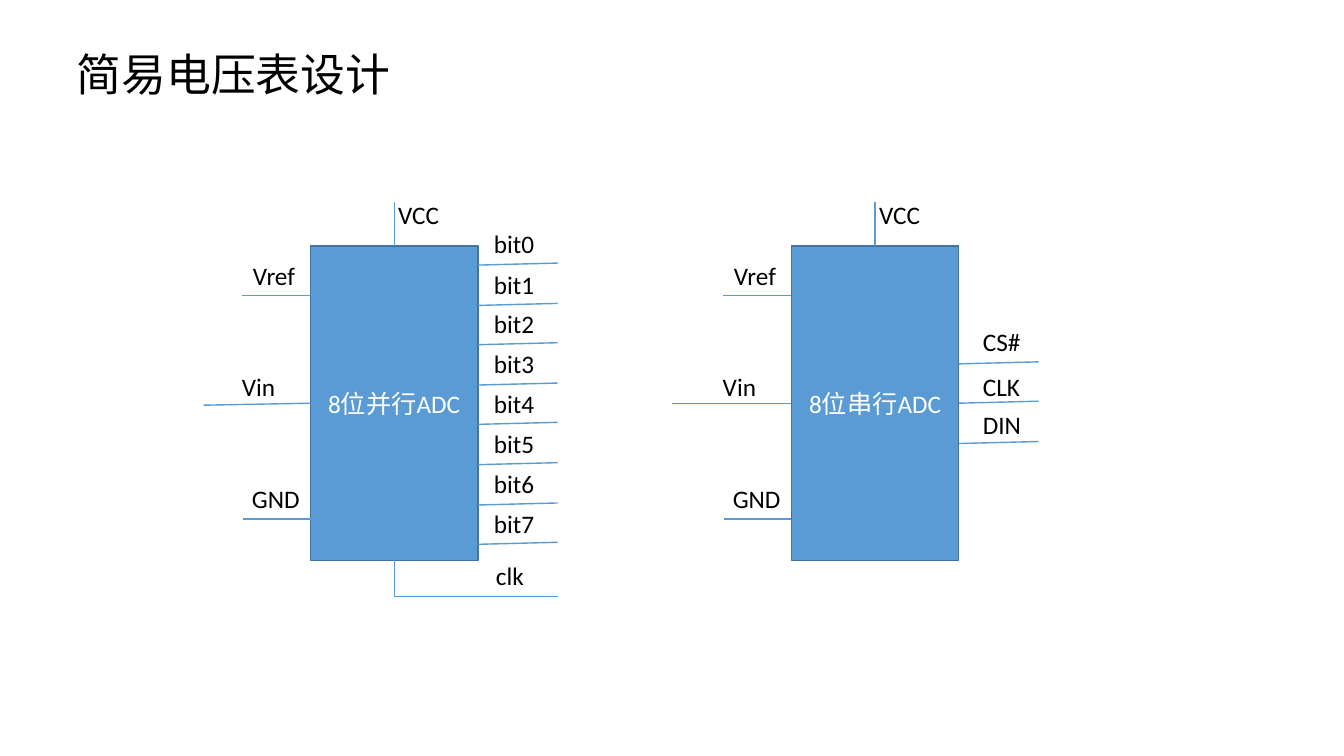
from lxml import etree
from pptx import Presentation
from pptx.dml.color import RGBColor
from pptx.enum.shapes import MSO_CONNECTOR, MSO_SHAPE
from pptx.enum.text import MSO_ANCHOR, MSO_AUTO_SIZE, PP_ALIGN
from pptx.oxml.ns import qn
from pptx.util import Emu, Pt

STRAIGHT = MSO_CONNECTOR.STRAIGHT
RECTANGLE = MSO_SHAPE.RECTANGLE
MIDDLE, TOP_ANCHOR = MSO_ANCHOR.MIDDLE, MSO_ANCHOR.TOP
LEFT_ALIGN, CENTER = PP_ALIGN.LEFT, PP_ALIGN.CENTER
NO_AUTOFIT, GROW = MSO_AUTO_SIZE.NONE, MSO_AUTO_SIZE.SHAPE_TO_FIT_TEXT

TOP, LEFT, BOTTOM, RIGHT = range(4)  # connection sites of a rectangle
EMU_PER_PX = 9144  # 100 px to the inch
FONT = "Calibri"
COLORS = {"chip": "5B9BD5", "edge": "43739E", "wire": "5B9BD5",
          "text": "000000", "chip_text": "FFFFFF"}


def px(length):
    return Emu(length * EMU_PER_PX)


def color(name):
    return RGBColor.from_string(COLORS[name])


class Schematic:
    """Holds the style and the slide being drawn."""

    def __init__(self, page):
        self.page = page
        self.shapes = page.shapes

    def set_text(self, box, text, size, fill, align=LEFT_ALIGN):
        paragraph = box.text_frame.paragraphs[0]
        paragraph.text = text
        paragraph.alignment = align
        font = paragraph.runs[0].font
        font.name, font.size = FONT, Pt(size)
        font.color.rgb = color(fill)

    def title(self, text, left, top, width, height):
        box = self.shapes.title
        box.left, box.top = px(left), px(top)
        box.width, box.height = px(width), px(height)
        frame = box.text_frame
        frame.word_wrap = False
        frame.auto_size = NO_AUTOFIT
        frame.vertical_anchor = TOP_ANCHOR
        self.set_text(box, text, 32, "text")

    def label(self, text, left, top, width):
        box = self.shapes.add_textbox(px(left), px(top), px(width), px(40))
        box.text_frame.word_wrap = False
        box.text_frame.auto_size = GROW
        self.set_text(box, text, 18, "text")

    def chip(self, text, left, top, width, height):
        box = self.shapes.add_shape(RECTANGLE, px(left), px(top), px(width), px(height))
        box.shadow.inherit = False
        box.fill.solid()
        box.fill.fore_color.rgb = color("chip")
        box.line.color.rgb = color("edge")
        box.line.width = Pt(1)
        box.text_frame.vertical_anchor = MIDDLE
        box.text_frame.word_wrap = True
        self.set_text(box, text, 18, "chip_text", CENTER)
        return box

    def wire(self, start, end, begin_at=None, end_at=None):
        """Draw a line; begin_at and end_at are (chip, site) pairs."""
        line = self.shapes.add_connector(STRAIGHT, *map(px, start + end))
        line.line.color.rgb = color("wire")
        line.line.width = Pt(1)
        etree.SubElement(line._element.spPr, qn("a:effectLst"))
        if begin_at:
            line.begin_connect(*begin_at)
        if end_at:
            line.end_connect(*end_at)

    def converter(self, name, left, vin_start, outputs):
        """Draw an ADC; outputs are (label, label left, label top, label width, wire y)."""
        chip = self.chip(name, left, 244, 166, 312)
        center, right = left + 83, left + 166

        # Supply and input pins
        self.wire((center, 244), (center, 200), begin_at=(chip, TOP))
        self.wire((left - 68, 293), (left, 293))
        self.wire(vin_start, (left, 400), end_at=(chip, LEFT))
        self.wire((left - 67, 515), (left, 515))
        self.label("VCC", left + 77, 193, 61)
        self.label("Vref", left - 67, 253, 63)
        self.label("Vin", left - 78, 363, 54)
        self.label("GND", left - 68, 475, 68)

        # Output pins
        for text, label_left, label_top, label_width, y in outputs:
            joint = (chip, RIGHT) if y + 2 == 400 else None
            self.wire((right + 79, y), (right, y + 2), end_at=joint)
            self.label(text, label_left, label_top, label_width)
        return chip


def main():
    deck = Presentation()
    deck.slide_width, deck.slide_height = px(1333), px(750)
    page = deck.slides.add_slide(deck.slide_layouts[5])
    schematic = Schematic(page)
    schematic.title("简易电压表设计", 66, 41, 334, 64)

    # Parallel converter with eight data bits at an even pitch
    steps = [round(39.6 * bit) for bit in range(8)]
    bits = [(f"bit{bit}", 480, 222 + step, 61, 261 + step)
            for bit, step in enumerate(steps)]
    parallel = schematic.converter("8位并行ADC", 308, (202, 402), bits)

    # Clock line of the parallel converter
    schematic.wire((391, 556), (391, 592), begin_at=(parallel, BOTTOM))
    schematic.wire((391, 592), (553, 592))
    schematic.label("clk", 482, 551, 48)

    # Serial converter with its three-wire bus
    bus = [("CS#", 965, 319, 58, 359),
           ("CLK", 965, 363, 58, 398),
           ("DIN", 965, 401, 58, 438)]
    schematic.converter("8位串行ADC", 785, (667, 400), bus)

    deck.save("out.pptx")


if __name__ == "__main__":
    main()
